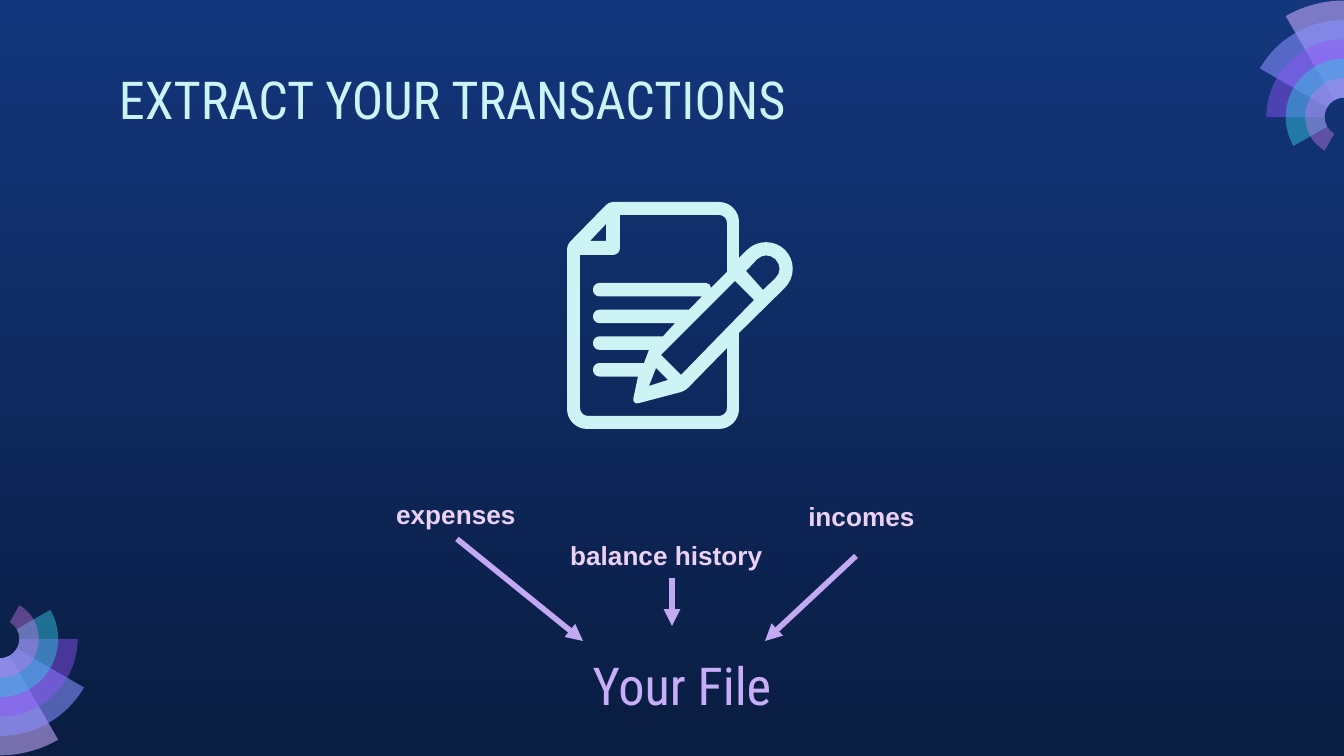
import math
from dataclasses import dataclass

import lxml.etree
import pptx
import pptx.dml.color
import pptx.enum.shapes
import pptx.enum.text
import pptx.oxml
import pptx.oxml.ns
import pptx.util

PIXEL = 9144000 / 1344
ANCHOR = pptx.enum.text.MSO_ANCHOR
ALIGN = pptx.enum.text.PP_ALIGN
qn = pptx.oxml.ns.qn


@dataclass(frozen=True)
class Theme:
    background: tuple = ("13367C", "0A1D42")
    fan: tuple = (("C8ACFD", 58), ("878FFF", 58), ("9154F8", 46),
                  ("35C2DF", 49), ("CA7BEB", 42))
    ice: str = "CEF3F5"
    lilac: str = "C8AEF8"
    label: str = "ECD1F4"
    arrow: str = "C3A8F4"
    heading_font: str = "Roboto Condensed"
    body_font: str = "Arial"
    heading_size: int = 28
    label_size: int = 14


THEME = Theme()


def emu(pixels):
    return pptx.util.Emu(round(pixels * PIXEL))


def rgb(value):
    return pptx.dml.color.RGBColor.from_string(value)


def set_values(target, values):
    for name, value in values.items():
        setattr(target, name, value)


def add_outline(slide, contours, color, opacity=100):
    """Filled shape; a contour lists segments of one point (line) or three (curve)."""
    builder = None
    for contour in contours:
        points = [(emu(x), emu(y)) for segment in contour for x, y in segment]
        if builder is None:
            builder = slide.shapes.build_freeform(*points[0], scale=1.0)
        else:
            builder.move_to(*points[0])
        builder.add_line_segments(points[1:], close=True)
    shape = builder.convert_to_shape()
    lines = iter(list(shape._element.iter(qn("a:lnTo"))))
    for segment in (segment for contour in contours for segment in contour[1:]):
        nodes = [next(lines) for _ in segment]
        if len(nodes) == 3:
            nodes[0].tag = qn("a:cubicBezTo")
            for node in nodes[1:]:
                nodes[0].append(node[0])
                node.getparent().remove(node)
    shape.shadow.inherit = False
    shape.fill.solid()
    shape.fill.fore_color.rgb = rgb(color)
    shape.line.fill.background()
    if opacity < 100:
        color_node = shape.fill._xPr.find(".//" + qn("a:srgbClr"))
        lxml.etree.SubElement(color_node, qn("a:alpha"), val=str(opacity * 1000))


def add_text(slide, box, text, font, frame=None, paragraph_format=None, indent=None):
    shape = slide.shapes.add_textbox(*map(emu, box))
    set_values(shape.text_frame, {"word_wrap": True, **(frame or {})})
    paragraph = shape.text_frame.paragraphs[0]
    set_values(paragraph, paragraph_format or {})
    if indent:
        properties = paragraph._p.get_or_add_pPr()
        for name, pixels in indent.items():
            properties.set(name, str(emu(pixels)))
    run = paragraph.add_run()
    run.text = text
    name, size, color, bold = font
    set_values(run.font, {"name": name, "size": pptx.util.Pt(size), "bold": bold})
    run.font.color.rgb = rgb(color)


def add_arrow(slide, start, end):
    connector = slide.shapes.add_connector(
        pptx.enum.shapes.MSO_CONNECTOR.STRAIGHT, *map(emu, start + end))
    connector.line.color.rgb = rgb(THEME.arrow)
    connector.line.width = pptx.util.Pt(3)
    line = connector.line._get_or_add_ln()
    lxml.etree.SubElement(line, qn("a:tailEnd"), type="triangle")
    lxml.etree.SubElement(connector._element.spPr, qn("a:effectLst"))


def rounded(corners, left, top):
    """Contour from (x, y, tangent length) corners; the first corner is sharp."""
    segments = []
    for index, (x, y, radius) in enumerate(corners):
        if not radius:
            segments.append([(left + x, top + y)])
            continue
        curve = []
        neighbours = (corners[index - 1], corners[(index + 1) % len(corners)])
        for near, parts in zip(neighbours, ((1, 0.45), (0.45, 1))):
            ratio = radius / math.dist((x, y), near[:2])
            curve += [(left + x + (near[0] - x) * ratio * part,
                       top + y + (near[1] - y) * ratio * part) for part in parts]
        segments += [curve[:1], curve[1:]]
    return segments


# Corner decoration: stacked ring sectors sharing one end angle
def add_fan(slide, center, turn):
    def point(radius, angle, slope=0):
        angle = math.radians(angle + turn)
        return (center[0] + radius * (math.cos(angle) - slope * math.sin(angle)),
                center[1] + radius * (math.sin(angle) + slope * math.cos(angle)))

    def arc(radius, angles):
        segments = [[point(radius, angles[0])]]
        for first, last in zip(angles, angles[1:]):
            slope = 4 / 3 * math.tan(math.radians(last - first) / 4)
            segments.append([point(radius, first, slope), point(radius, last, -slope),
                             point(radius, last)])
        return segments

    for index, (color, opacity) in enumerate(THEME.fan):
        start, radius = 60 - 30 * index, 116.4 - 19.4 * index
        angles = [start, 0, 90] if start < 0 else [start, 90]
        add_outline(slide, [arc(radius, angles) + arc(19.4, angles[::-1])],
                    color, opacity)


# Document with a pencil
def add_document_icon(slide, left, top):
    edge = [(172, 56, 0), (199, 29, 27), (237, 67, 27), (172, 131, 0),
            (172, 227, 20), (0, 227, 20), (0, 43, 4), (42, 0, 4), (172, 0, 20)]
    bar_ends = [(144, 135), (122, 108), (96, 82), (77, 71)]
    page = [(53, 13, 0), (160, 13, 8), (160, 70, 0), (144, 86, 0)]
    for index, (upper, lower) in enumerate(bar_ends):
        y = 81 + 26.7 * index
        page += [(upper, y, 0 if index else 5), (26, y, 6.5),
                 (26, y + 13.5, 6.5), (lower, y + 13.5, 0)]
    page += [(65, 203, 7), (118, 189, 4), (160, 146, 0), (160, 214, 8),
             (13, 214, 8), (13, 53, 0), (53, 53, 7)]
    fold = [(39, 22, 0), (39, 39, 0), (23, 39, 0)]
    eraser = [(179, 69, 0), (199, 48, 13), (218, 67, 13), (196, 88, 0)]
    shaft = [(168, 79, 0), (187, 98, 0), (114, 173, 0), (94, 153, 0)]
    nib = [(89, 166, 0), (101, 178, 0), (82, 184, 0)]
    contours = [rounded(part, left, top)
                for part in (edge, page, fold, eraser, shaft, nib)]
    add_outline(slide, contours, THEME.ice)


# Labels with arrows to the file name
def add_sources(slide, left, top):
    font = (THEME.body_font, THEME.label_size, THEME.label, True)
    sources = [("expenses", (0, 0, 200, 46), (74, 47), (200, 149)),
               ("incomes", (412, 2, 224, 46), (473, 64), (382, 149)),
               ("balance history", (174, 41, 298, 46), (289, 86), (289, 134))]
    for text, (x, y, width, height), _, _ in sources:
        add_text(slide, (left + x, top + y, width, height), text, font)
    for _, _, start, end in sources:
        add_arrow(slide, (left + start[0], top + start[1]),
                  (left + end[0], top + end[1]))


# Title and file name
def add_headings(slide):
    inset = emu(13)
    frame = {"margin_" + side: inset for side in ("left", "top", "right", "bottom")}
    font = (THEME.heading_font, THEME.heading_size)
    add_text(slide, (106, 54, 1133, 85), "EXTRACT YOUR TRANSACTIONS",
             font + (THEME.ice, False), frame)
    add_text(slide, (197, 635, 950, 94), "Your File", font + (THEME.lilac, False),
             {**frame, "vertical_anchor": ANCHOR.BOTTOM},
             {"alignment": ALIGN.CENTER}, {"marL": 67, "indent": -47})


def build_slide(presentation):
    slide = presentation.slides.add_slide(presentation.slide_layouts[6])
    fill = slide.background.fill
    fill.gradient()
    fill.gradient_angle = 270
    for stop, color, position in zip(fill.gradient_stops, THEME.background, (0, 1)):
        stop.color.rgb = rgb(color)
        stop.position = position
    add_fan(slide, (0, 639), 0)
    add_fan(slide, (1344, 117), 180)
    add_headings(slide)
    add_document_icon(slide, 567, 202)
    add_sources(slide, 383, 492)


presentation = pptx.Presentation()
set_values(presentation, {"slide_width": emu(1344), "slide_height": emu(756)})
build_slide(presentation)
presentation.save("out.pptx")
